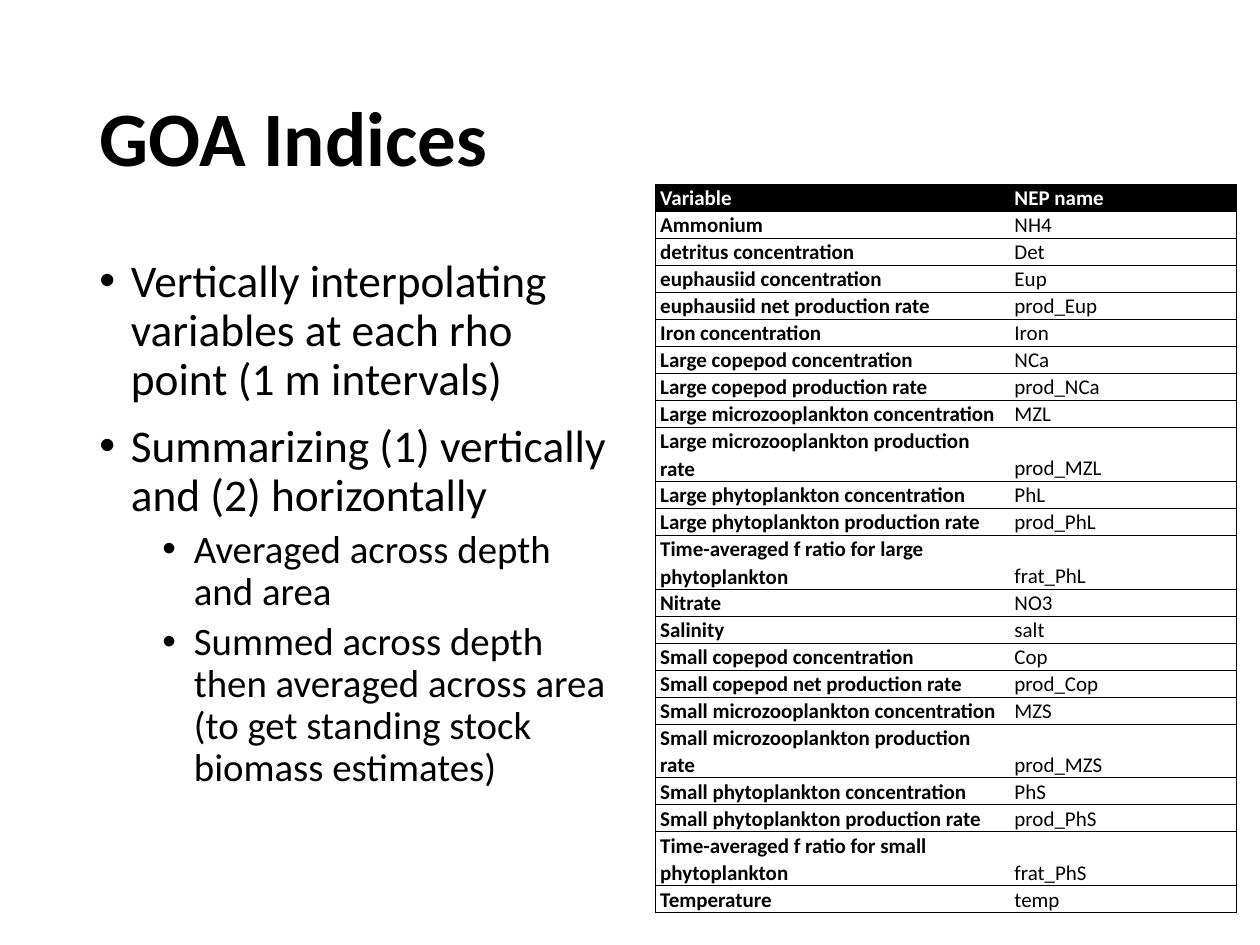
from dataclasses import dataclass
from lxml import etree
from pptx import Presentation
from pptx import util as u
from pptx.dml.color import RGBColor
from pptx.enum import text
from pptx.oxml.ns import qn

WIDE, HIGH = 10, 7.5
FONT, BLACK, WHITE = "Calibri", "000000", "FFFFFF"
ROW = 0.19


@dataclass
class Box:
    left: float
    top: float
    width: float
    height: float

    def place(self) -> tuple:
        return (u.Inches(self.left * WIDE), u.Inches(self.top * HIGH),
                u.Inches(self.width * WIDE), u.Inches(self.height * HIGH))


@dataclass
class Line:
    words: str
    size: float
    before: float = 0
    indent: float = 0
    level: int = 0
    bold: bool = False


@dataclass
class Entry:
    label: str
    name: str
    rows: int = 1


TITLE = [Line("GOA Indices", 44, bold=True)]
POINTS = [
    Line("Vertically interpolating variables at each rho point (1 m intervals)", 25.9, 10, 0.25),
    Line("Summarizing (1) vertically and (2) horizontally", 25.9, 10, 0.25),
    Line("Averaged across depth and area", 22.2, 5, 0.75, 1),
    Line("Summed across depth then averaged across area "
         "(to get standing stock biomass estimates)", 22.2, 5, 0.75, 1),
]
ENTRIES = [
    Entry("Variable", "NEP name"),
    Entry("Ammonium", "NH4"),
    Entry("detritus concentration", "Det"),
    Entry("euphausiid concentration", "Eup"),
    Entry("euphausiid net production rate", "prod_Eup"),
    Entry("Iron concentration", "Iron"),
    Entry("Large copepod concentration", "NCa"),
    Entry("Large copepod production rate", "prod_NCa"),
    Entry("Large microzooplankton concentration", "MZL"),
    Entry("Large microzooplankton production rate", "prod_MZL"),
    Entry("Large phytoplankton concentration", "PhL"),
    Entry("Large phytoplankton production rate", "prod_PhL"),
    Entry("Time-averaged f ratio for large phytoplankton", "frat_PhL", 2),
    Entry("Nitrate", "NO3"),
    Entry("Salinity", "salt"),
    Entry("Small copepod concentration", "Cop"),
    Entry("Small copepod net production rate", "prod_Cop"),
    Entry("Small microzooplankton concentration", "MZS"),
    Entry("Small microzooplankton production rate", "prod_MZS"),
    Entry("Small phytoplankton concentration", "PhS"),
    Entry("Small phytoplankton production rate", "prod_PhS"),
    Entry("Time-averaged f ratio for small phytoplankton", "frat_PhS", 2),
    Entry("Temperature", "temp"),
]


def paint(code: str) -> RGBColor:
    return RGBColor.from_string(code)


def style(para, size: float, bold: bool, code: str) -> None:
    for run in para.runs:
        run.font.name = FONT
        run.font.size = u.Pt(size)
        run.font.bold = bold
        run.font.color.rgb = paint(code)


def bullet(para, indent: float) -> None:
    props = para._p.get_or_add_pPr()
    props.set("marL", str(u.Inches(indent)))
    props.set("indent", str(-u.Inches(0.25)))
    etree.SubElement(props, qn("a:buFont"), typeface="Arial")
    etree.SubElement(props, qn("a:buChar"), char="•")


def write(slide, box: Box, lines: list[Line], anchor) -> None:
    frame = slide.shapes.add_textbox(*box.place()).text_frame
    frame.word_wrap = True
    frame.vertical_anchor = anchor
    frame.text = "\n".join(line.words for line in lines)
    for para, line in zip(frame.paragraphs, lines):
        para.level = line.level
        para.line_spacing = 0.9
        para.space_before = u.Pt(line.before)
        style(para, line.size, line.bold, BLACK)
        if line.indent:
            bullet(para, line.indent)


def edge(cell, sides: str) -> None:
    props = cell._tc.get_or_add_tcPr()
    for side in "LRTB":
        line = etree.SubElement(props, qn(f"a:ln{side}"), w=str(u.Pt(0.5)))
        if side in sides:
            fill = etree.SubElement(line, qn("a:solidFill"))
            etree.SubElement(fill, qn("a:srgbClr"), val=BLACK)
        else:
            etree.SubElement(line, qn("a:noFill"))


def fill_cell(cell, words: str, head: bool, first: bool) -> None:
    cell.text_frame.text = words
    cell.vertical_anchor = text.MSO_ANCHOR.BOTTOM
    cell.margin_left = cell.margin_right = u.Inches(0.04)
    cell.margin_top = cell.margin_bottom = 0
    para = cell.text_frame.paragraphs[0]
    para.line_spacing = 1.07
    style(para, 12, head or first, WHITE if head else BLACK)
    edge(cell, "LTB" if first else "RTB")
    if head:
        cell.fill.solid()
        cell.fill.fore_color.rgb = paint(BLACK)
    else:
        cell.fill.background()


def tabulate(slide, box: Box, entries: list[Entry], shares: list[float]) -> None:
    table = slide.shapes.add_table(len(entries), len(shares), *box.place()).table
    table.first_row = table.horz_banding = False
    for col, share in zip(table.columns, shares):
        col.width = u.Inches(box.width * WIDE * share)
    for i, entry in enumerate(entries):
        table.rows[i].height = u.Inches(ROW * entry.rows)
        for j, words in enumerate((entry.label, entry.name)):
            fill_cell(table.cell(i, j), words, i == 0, j == 0)


def main() -> None:
    deck = Presentation()
    deck.slide_width, deck.slide_height = u.Inches(WIDE), u.Inches(HIGH)
    slide = deck.slides.add_slide(deck.slide_layouts[6])
    write(slide, Box(0.069, 0.053, 0.862, 0.193), TITLE, text.MSO_ANCHOR.MIDDLE)
    write(slide, Box(0.069, 0.267, 0.425, 0.635), POINTS, text.MSO_ANCHOR.TOP)
    tabulate(slide, Box(0.52, 0.195, 0.461, 0.741), ENTRIES, [0.61, 0.39])
    deck.save("out.pptx")


if __name__ == "__main__":
    main()
